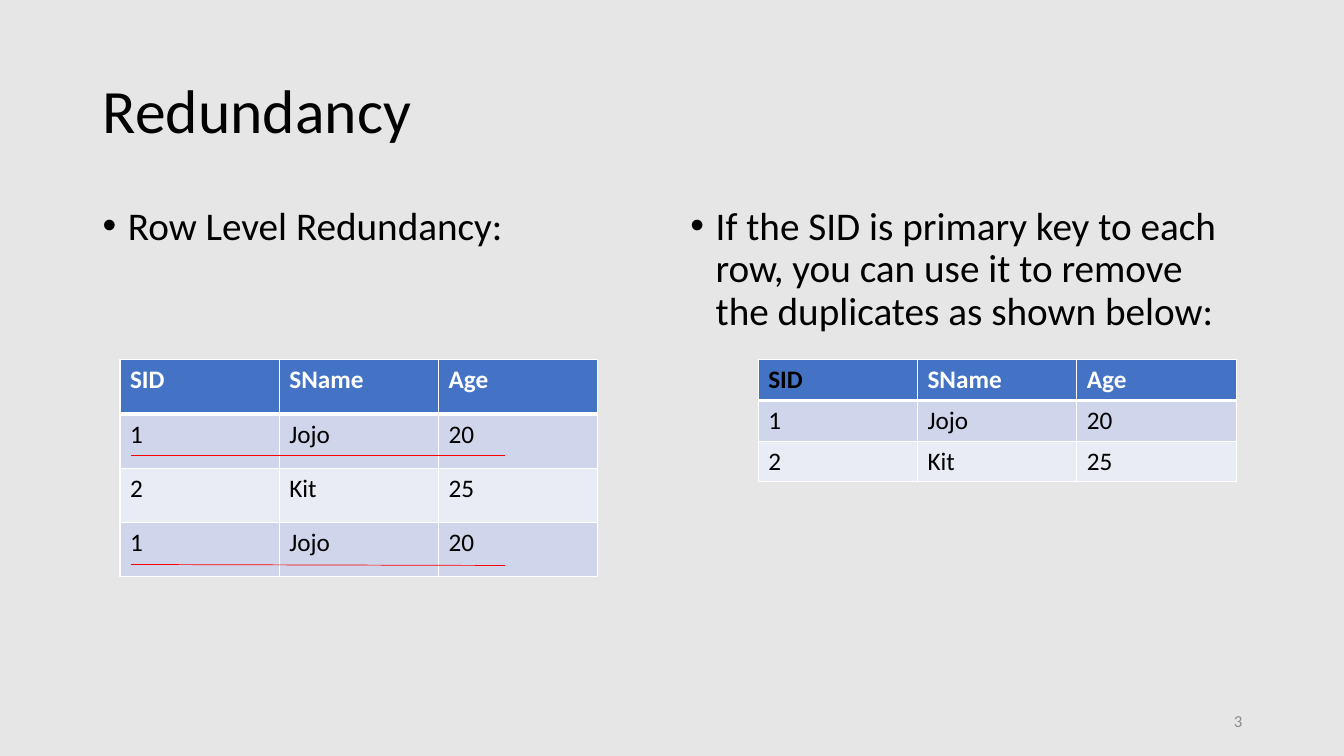
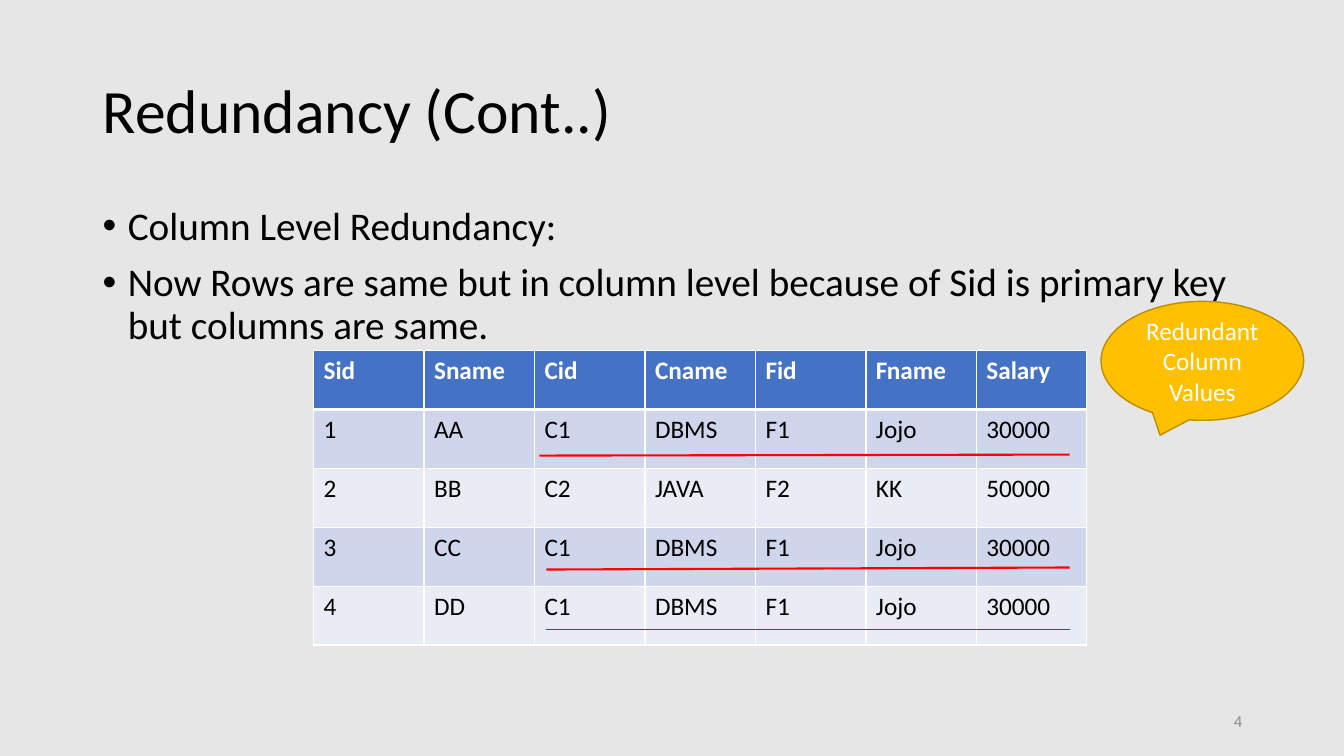
"""Build two slides on row level and column level redundancy."""
from lxml.etree import SubElement
from pptx import Presentation
from pptx.dml.color import RGBColor
from pptx.enum.shapes import MSO_CONNECTOR, MSO_SHAPE
from pptx.enum.text import MSO_ANCHOR, PP_ALIGN
from pptx.oxml.ns import qn
from pptx.util import Inches, Pt

FONT = "Calibri"
BACKGROUND = RGBColor(0xE7, 0xE6, 0xE6)
BLACK = RGBColor(0x00, 0x00, 0x00)
WHITE = RGBColor(0xFF, 0xFF, 0xFF)
GRAY = RGBColor(0x8C, 0x8C, 0x8C)
HEADER_BLUE = RGBColor(0x44, 0x72, 0xC4)
BANDS = (RGBColor(0xCF, 0xD5, 0xEA), RGBColor(0xE9, 0xEB, 0xF5))
RED = RGBColor(0xFF, 0x00, 0x00)
GOLD = RGBColor(0xFF, 0xC0, 0x00)
DARK_GOLD = RGBColor(0xBD, 0x8E, 0x00)

STUDENT_HEADER = ("SID", "SName", "Age")
JOJO, KIT = ("1", "Jojo", "20"), ("2", "Kit", "25")
COURSE_ROWS = [
    ("Sid", "Sname", "Cid", "Cname", "Fid", "Fname", "Salary"),
    ("1", "AA", "C1", "DBMS", "F1", "Jojo", "30000"),
    ("2", "BB", "C2", "JAVA", "F2", "KK", "50000"),
    ("3", "CC", "C1", "DBMS", "F1", "Jojo", "30000"),
    ("4", "DD", "C1", "DBMS", "F1", "Jojo", "30000"),
]

SLIDES = [
    {
        "title": "Redundancy",
        "number": "3",
        "bodies": [
            (0.92, 5.67, ["Row Level Redundancy:"]),
            (6.75, 5.67, ["If the SID is primary key to each row, you can use it "
                          "to remove the duplicates as shown below:"]),
        ],
        "tables": [
            {"at": (1.19, 3.57, 4.74, 2.15), "rows": [STUDENT_HEADER, JOJO, KIT, JOJO]},
            {"at": (7.52, 3.57, 4.74, 1.21), "rows": [STUDENT_HEADER, JOJO, KIT],
             "key": "SID"},
        ],
        "underlines": [(1.3, 4.52, 5.01, 4.52, 0.5), (1.3, 5.6, 5.01, 5.61, 0.5)],
    },
    {
        "title": "Redundancy (Cont..)",
        "number": "4",
        "bodies": [
            (0.92, 11.5, ["Column Level Redundancy:",
                          "Now Rows are same but in column level because of Sid is "
                          "primary key but columns are same."]),
        ],
        "tables": [{"at": (3.11, 3.48, 7.67, 2.92), "rows": COURSE_ROWS}],
        "underlines": [
            (5.35, 4.52, 10.61, 4.51, 1.5),
            (5.42, 5.65, 10.61, 5.63, 1.5),
            (5.42, 6.24, 10.61, 6.24, 0.5),
        ],
        "callout": ("Redundant Column Values", (10.92, 2.99, 2.01, 1.18)),
    },
]


def style(paragraph, size, color, alignment=PP_ALIGN.LEFT, bold=False):
    font = paragraph.font
    font.name, font.size, font.bold = FONT, Pt(size), bold
    font.color.rgb = color
    paragraph.alignment = alignment


def add_title(slide, text):
    title = slide.shapes.title
    title.left, title.top = Inches(0.92), Inches(0.4)
    title.width, title.height = Inches(11.5), Inches(1.45)
    frame = title.text_frame
    frame.text = text
    frame.vertical_anchor = MSO_ANCHOR.MIDDLE
    style(frame.paragraphs[0], 44, BLACK)
    frame.paragraphs[0].line_spacing = 0.9


def add_text_frame(slide, left, top, width, height):
    box = slide.shapes.add_textbox(*map(Inches, (left, top, width, height)))
    box.text_frame.word_wrap = True
    return box.text_frame


def add_body(slide, left, width, lines):
    frame = add_text_frame(slide, left, 2, width, 4.76)
    frame.text = "\n".join(lines)
    for paragraph in frame.paragraphs:
        style(paragraph, 28, BLACK)
        paragraph.line_spacing = 0.9
        paragraph.space_before = Pt(10)
        properties = paragraph._p.get_or_add_pPr()
        properties.set("marL", str(Inches(0.25)))
        properties.set("indent", str(-Inches(0.25)))
        SubElement(properties, qn("a:buFont"), typeface="Arial")
        SubElement(properties, qn("a:buChar"), char="•")


def add_number(slide, number):
    frame = add_text_frame(slide, 9.42, 6.95, 3, 0.4)
    frame.text = number
    frame.vertical_anchor = MSO_ANCHOR.MIDDLE
    style(frame.paragraphs[0], 12, GRAY, PP_ALIGN.RIGHT)


def add_borders(cell, row_index):
    thick_side = {0: "lnB", 1: "lnT"}.get(row_index)
    properties = cell._tc.get_or_add_tcPr()
    for side in ("lnL", "lnR", "lnT", "lnB"):
        width = Pt(3 if side == thick_side else 1)
        border = SubElement(properties, qn(f"a:{side}"), w=str(width))
        fill = SubElement(border, qn("a:solidFill"))
        SubElement(fill, qn("a:srgbClr"), val=str(WHITE))


def add_table(slide, at, rows, key=None):
    left, top, width, height = map(Inches, at)
    table = slide.shapes.add_table(
        len(rows), len(rows[0]), left, top, width, height).table
    for row_index, values in enumerate(rows):
        is_header = row_index == 0
        for column_index, value in enumerate(values):
            cell = table.cell(row_index, column_index)
            cell.text = value
            add_borders(cell, row_index)
            cell.fill.solid()
            cell.fill.fore_color.rgb = HEADER_BLUE if is_header else BANDS[(row_index - 1) % 2]
            color = WHITE if is_header and value != key else BLACK
            style(cell.text_frame.paragraphs[0], 18, color, bold=is_header)


def add_underline(slide, x1, y1, x2, y2, weight):
    line = slide.shapes.add_connector(
        MSO_CONNECTOR.STRAIGHT, *map(Inches, (x1, y1, x2, y2)))
    line.line.color.rgb = RED
    line.line.width = Pt(weight)
    SubElement(line._element.spPr, qn("a:effectLst"))


def add_callout(slide, text, at):
    callout = slide.shapes.add_shape(MSO_SHAPE.OVAL_CALLOUT, *map(Inches, at))
    callout.shadow.inherit = False
    callout.fill.solid()
    callout.fill.fore_color.rgb = GOLD
    callout.line.color.rgb = DARK_GOLD
    callout.line.width = Pt(1)
    frame = callout.text_frame
    frame.text = text
    frame.word_wrap = True
    frame.vertical_anchor = MSO_ANCHOR.MIDDLE
    style(frame.paragraphs[0], 18, WHITE, PP_ALIGN.CENTER)


def main():
    presentation = Presentation()
    presentation.slide_width, presentation.slide_height = Inches(13.33), Inches(7.5)
    background = presentation.slide_master.background.fill
    background.solid()
    background.fore_color.rgb = BACKGROUND
    title_only = presentation.slide_layouts[5]
    for content in SLIDES:
        slide = presentation.slides.add_slide(title_only)
        add_title(slide, content["title"])
        for body in content["bodies"]:
            add_body(slide, *body)
        add_number(slide, content["number"])
        for table in content["tables"]:
            add_table(slide, **table)
        for underline in content["underlines"]:
            add_underline(slide, *underline)
        if "callout" in content:
            add_callout(slide, *content["callout"])
    presentation.save("out.pptx")


if __name__ == "__main__":
    main()
